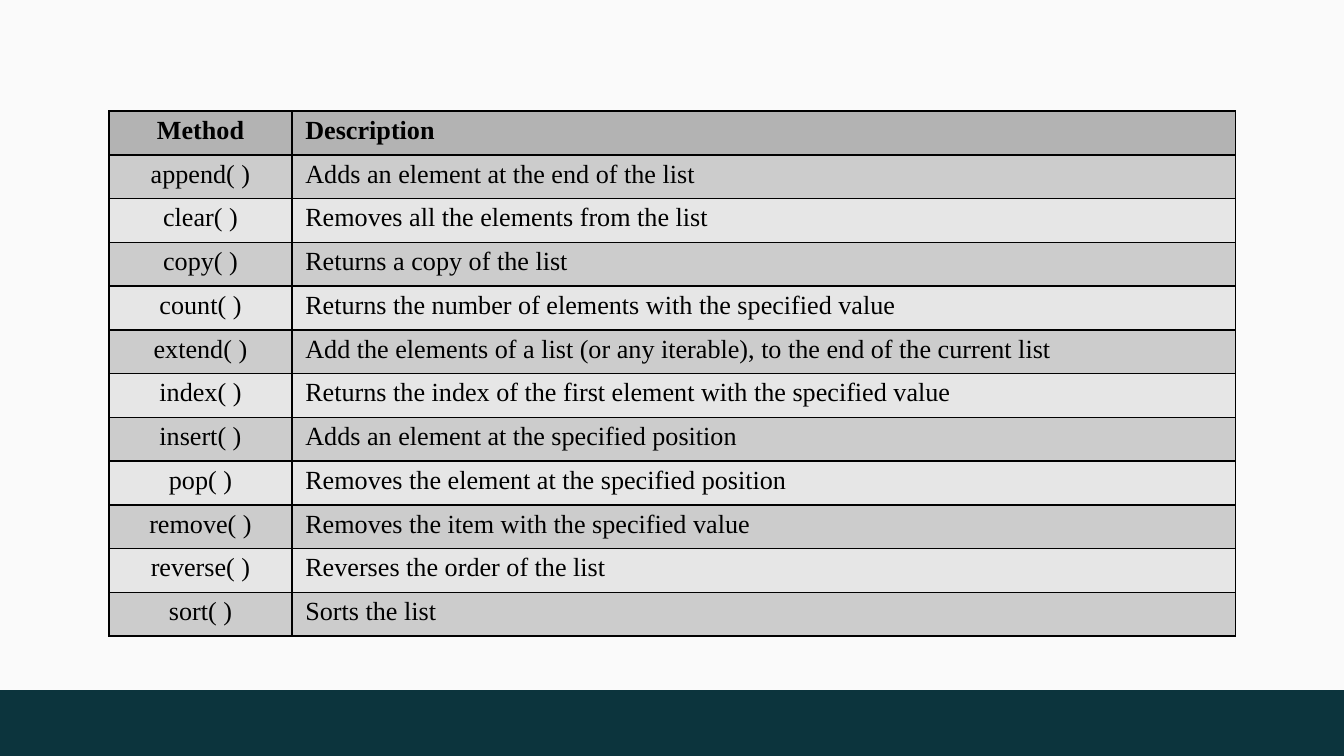
import pptx
import pptx.util
import pptx.dml.color
import pptx.enum.shapes
import pptx.enum.text
import pptx.oxml
import pptx.oxml.ns
from dataclasses import dataclass

Cm, Pt = pptx.util.Cm, pptx.util.Pt
RGB = pptx.dml.color.RGBColor.from_string
ALIGN = pptx.enum.text.PP_ALIGN


@dataclass(frozen=True)
class Theme:
    paper: str = "FAFAFA"
    footer: str = "0C343D"
    ink: str = "000000"
    header: str = "B3B3B3"
    bands: tuple = ("CCCCCC", "E6E6E6")
    font: str = "Times New Roman"
    size: int = 14
    line_spacing: float = 0.93
    border: float = 0.96


class Deck:
    """Holds the theme and the current slide."""

    def __init__(self, prs, theme):
        self.theme = theme
        self.s = prs.slides.add_slide(prs.slide_layouts[6])

    def panel(self, left, top, width, height, color):
        sp = self.s.shapes.add_shape(
            pptx.enum.shapes.MSO_SHAPE.RECTANGLE, left, top, width, height)
        sp.shadow.inherit = False
        sp.fill.solid()
        sp.fill.fore_color.rgb = RGB(color)
        sp.line.fill.background()

    def borders(self, cell):
        tc_pr = cell._tc.get_or_add_tcPr()
        ns = pptx.oxml.ns.nsdecls("a")
        for i, side in enumerate(("lnL", "lnR", "lnT", "lnB")):
            tc_pr.insert(i, pptx.oxml.parse_xml(
                f'<a:{side} {ns} w="{Pt(self.theme.border)}"><a:solidFill>'
                f'<a:srgbClr val="{self.theme.ink}"/></a:solidFill></a:{side}>'))

    def cell(self, cell, text, align, fill, bold):
        t = self.theme
        margins = dict(margin_left=Cm(0.25), margin_right=Cm(0.25),
                       margin_top=Cm(0.13), margin_bottom=Cm(0.13))
        for name, value in margins.items():
            setattr(cell, name, value)
        cell.fill.solid()
        cell.fill.fore_color.rgb = RGB(fill)
        self.borders(cell)
        p = cell.text_frame.paragraphs[0]
        p.alignment, p.line_spacing = align, t.line_spacing
        r = p.add_run()
        r.text = text
        for name, value in dict(name=t.font, size=Pt(t.size), bold=bold).items():
            setattr(r.font, name, value)
        r.font.color.rgb = RGB(t.ink)

    def table(self, left, top, widths, height, rows):
        table = self.s.shapes.add_table(
            len(rows), len(widths), left, top, sum(widths), height).table
        for col, width in zip(table.columns, widths):
            col.width = width
        for i, row in enumerate(rows):
            table.rows[i].height = height // len(rows)
            fill = self.theme.bands[(i - 1) % 2] if i else self.theme.header
            for j, text in enumerate(row):
                align = ALIGN.LEFT if j else ALIGN.CENTER
                self.cell(table.cell(i, j), text, align, fill, i == 0)


LIST_METHODS = [
    ("Method", "Description"),
    ("append( )", "Adds an element at the end of the list"),
    ("clear( )", "Removes all the elements from the list"),
    ("copy( )", "Returns a copy of the list"),
    ("count( )", "Returns the number of elements with the specified value"),
    ("extend( )", "Add the elements of a list (or any iterable), "
                  "to the end of the current list"),
    ("index( )", "Returns the index of the first element with the specified value"),
    ("insert( )", "Adds an element at the specified position"),
    ("pop( )", "Removes the element at the specified position"),
    ("remove( )", "Removes the item with the specified value"),
    ("reverse( )", "Reverses the order of the list"),
    ("sort( )", "Sorts the list"),
]


def main():
    prs = pptx.Presentation()
    prs.slide_width, prs.slide_height = Cm(25.4), Cm(14.29)
    theme = Theme()
    deck = Deck(prs, theme)

    # Page area and footer band
    split = Cm(13.04)
    deck.panel(0, split, prs.slide_width, prs.slide_height - split, theme.footer)
    deck.panel(0, 0, prs.slide_width, split, theme.paper)

    # List methods
    deck.table(Cm(2.06), Cm(2.1), (Cm(3.46), Cm(17.83)), Cm(9.93), LIST_METHODS)

    prs.save("out.pptx")


if __name__ == "__main__":
    main()
